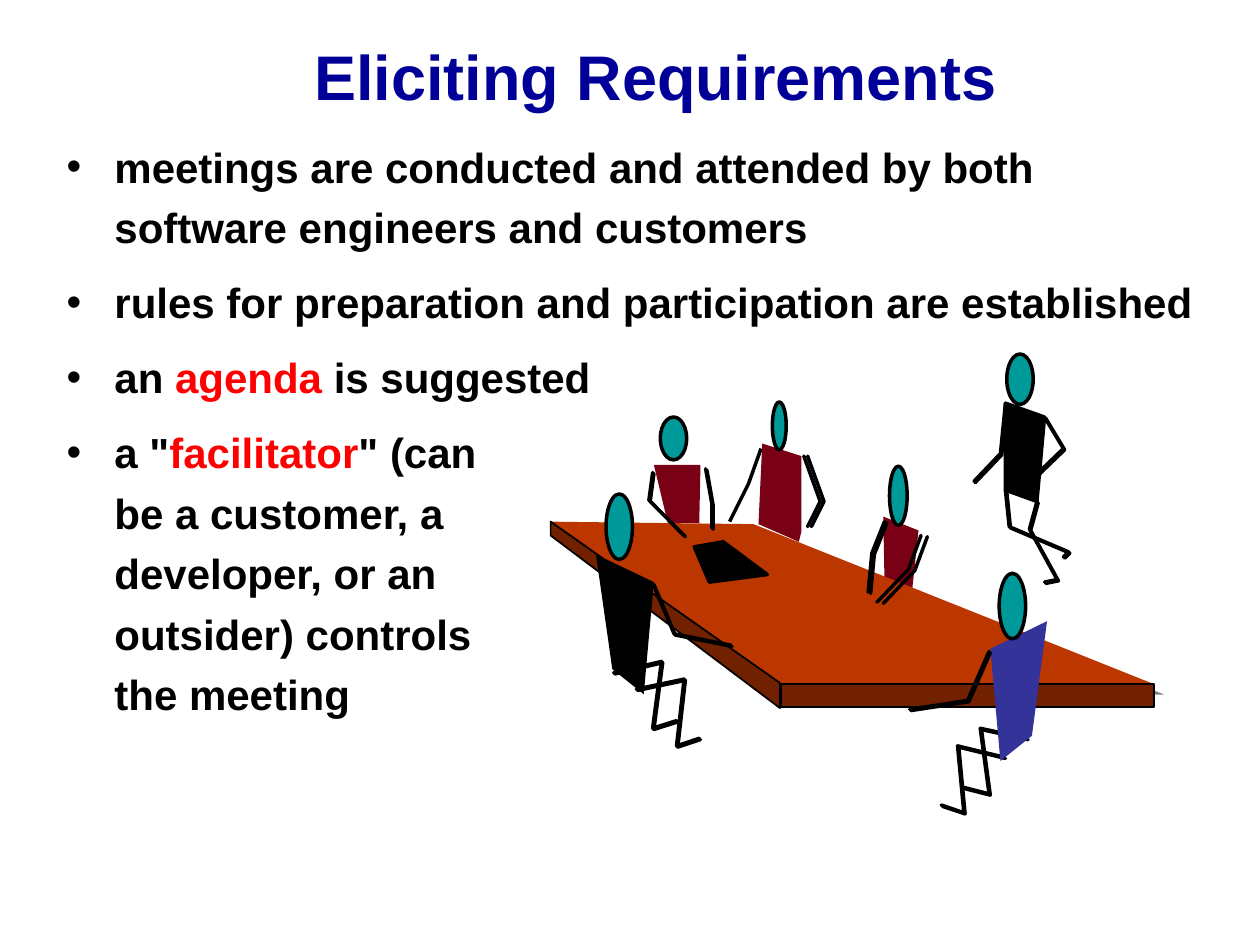
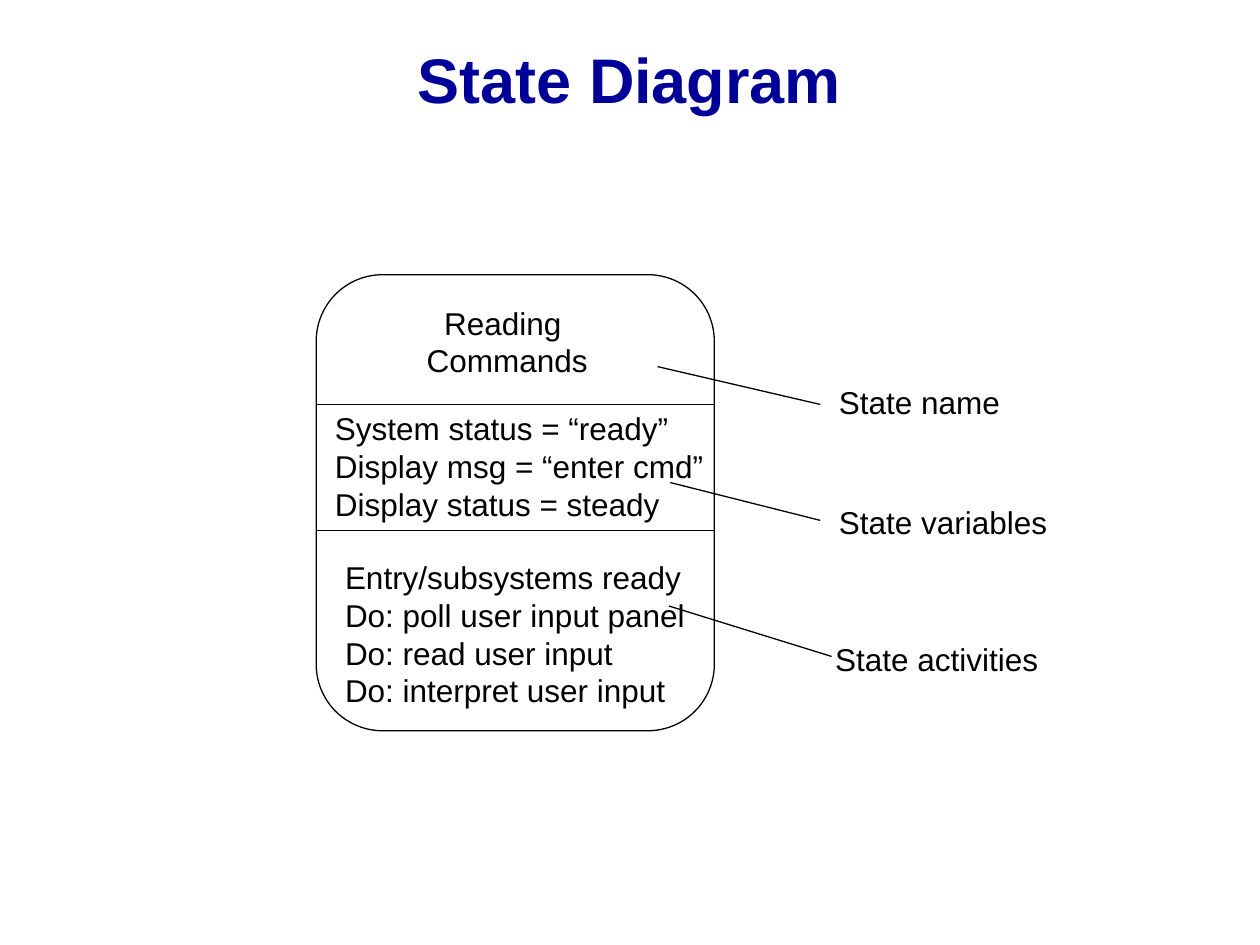
from lxml.etree import SubElement
from pptx import Presentation
from pptx.dml.color import RGBColor
from pptx.enum.shapes import MSO_CONNECTOR, MSO_SHAPE
from pptx.enum.text import MSO_ANCHOR, MSO_AUTO_SIZE, PP_ALIGN
from pptx.oxml.ns import qn
from pptx.util import Cm, Pt

FONT = "Arial"
NAVY = RGBColor(0x00, 0x00, 0x99)
BLACK = RGBColor(0x00, 0x00, 0x00)
WHITE = RGBColor(0xFF, 0xFF, 0xFF)
RED = RGBColor(0xFF, 0x00, 0x00)
TEAL = RGBColor(0x00, 0x99, 0x99)
MAROON = RGBColor(0x79, 0x00, 0x15)
INDIGO = RGBColor(0x33, 0x33, 0x99)
TABLE_TOP = RGBColor(0xBC, 0x37, 0x00)
TABLE_EDGE = RGBColor(0x71, 0x20, 0x00)

GRID = 2.54  # centimetres in one layout unit


def grid(value):
    return Cm(value * GRID)


class Deck:
    def __init__(self):
        self.prs = Presentation()
        self.prs.slide_width = grid(10)
        self.prs.slide_height = grid(7.5)
        self.s = None

    def new_slide(self, title, box):
        self.s = self.prs.slides.add_slide(self.prs.slide_layouts[6])
        tf = self.text_box(box)
        tf.vertical_anchor = MSO_ANCHOR.MIDDLE
        p = tf.paragraphs[0]
        p.alignment = PP_ALIGN.CENTER
        self.run(p, title, 36, NAVY, bold=True)

    def text_box(self, box):
        tf = self.s.shapes.add_textbox(*map(grid, box)).text_frame
        tf.word_wrap = True
        return tf

    def run(self, p, text, size, color=BLACK, bold=False):
        """Add text to a paragraph; a newline becomes a line break."""
        for i, line in enumerate(text.split("\n")):
            if i:
                p.add_line_break()
            r = p.add_run()
            r.text = line
            r.font.name = FONT
            r.font.size = Pt(size)
            r.font.bold = bold
            r.font.color.rgb = color

    def bullets(self, box, items):
        """Each item is a list of (text, color) runs."""
        tf = self.text_box(box)
        for i, item in enumerate(items):
            p = tf.add_paragraph() if i else tf.paragraphs[0]
            pPr = p._p.get_or_add_pPr()
            pPr.set("marL", str(grid(0.38)))
            pPr.set("indent", str(-grid(0.38)))
            SubElement(pPr, qn("a:buFont")).set("typeface", FONT)
            SubElement(pPr, qn("a:buChar")).set("char", "•")
            p.line_spacing = 1.2
            p.space_before = Pt(8.4 if i else 0)
            for text, color in item:
                self.run(p, text, 24, color, bold=True)

    def lines(self, box, texts, align=PP_ALIGN.LEFT):
        tf = self.text_box(box)
        tf.auto_size = MSO_AUTO_SIZE.SHAPE_TO_FIT_TEXT
        for i, text in enumerate(texts):
            p = tf.add_paragraph() if i else tf.paragraphs[0]
            p.alignment = align
            self.run(p, text, 18)

    def paint(self, sp, fill, width):
        sp.shadow.inherit = False
        if fill is None:
            sp.fill.background()
        else:
            sp.fill.solid()
            sp.fill.fore_color.rgb = fill
        if width:
            sp.line.color.rgb = BLACK
            sp.line.width = Pt(width)
        else:
            sp.line.fill.background()
        return sp

    def shape(self, kind, box, fill, width):
        sp = self.s.shapes.add_shape(kind, *map(grid, box))
        return self.paint(sp, fill, width)

    def outline(self, points, fill=None, width=0, close=True):
        first, *rest = [(grid(x), grid(y)) for x, y in points]
        builder = self.s.shapes.build_freeform(*first)
        builder.add_line_segments(rest, close=close)
        return self.paint(builder.convert_to_shape(), fill, width)

    def limb(self, points, shift=(-0.01, -0.01)):
        """Draw a stroke twice, the second slightly shifted."""
        for dx, dy in ((0, 0), shift):
            stroke = [(x + dx, y + dy) for x, y in points]
            sp = self.outline(stroke, width=2, close=False)
            sp._element.spPr.find(qn("a:ln")).set("cap", "rnd")

    def person(self, head, torso, color, legs=(), arms=(), torso_line=0):
        for leg in legs:
            self.limb(leg)
        self.outline(torso, color, torso_line)
        self.shape(MSO_SHAPE.OVAL, head, TEAL, 2)
        for arm in arms:
            self.limb(arm)

    def drop_shadow(self, sp):
        effects = sp._element.spPr.find(qn("a:effectLst"))
        shadow = SubElement(effects, qn("a:outerShdw"), dist=str(Pt(8.5)),
                            dir="2700000", algn="ctr", rotWithShape="0")
        SubElement(shadow, qn("a:srgbClr"), val="808080")

    def line(self, start, end):
        cn = self.s.shapes.add_connector(
            MSO_CONNECTOR.STRAIGHT, *map(grid, start + end))
        cn.line.color.rgb = BLACK
        cn.line.width = Pt(0.75)
        SubElement(cn._element.spPr, qn("a:effectLst"))


def draw_table(deck):
    top = deck.outline([(4.37, 4.14), (5.98, 4.16), (9.16, 5.43),
                        (6.18, 5.42)], TABLE_TOP)
    deck.drop_shadow(top)
    deck.shape(MSO_SHAPE.RECTANGLE, (6.2, 5.43, 2.96, 0.18), TABLE_EDGE, 1)
    deck.outline([(6.19, 5.42), (4.37, 4.14), (4.37, 4.25), (6.19, 5.62)],
                 TABLE_EDGE, 1)


def draw_meeting(deck):
    # Far right attendee sits behind the table, with arms resting on it
    deck.person((7.06, 3.7, 0.14, 0.47),
                [(7.02, 4.6), (7.01, 4.1), (7.29, 4.21), (7.24, 4.68)], MAROON)
    draw_table(deck)
    deck.limb([(7.36, 4.26), (7.26, 4.53), (7.01, 4.79)], (-0.05, -0.01))
    deck.limb([(7.04, 4.15), (6.94, 4.4), (6.91, 4.71)], (-0.02, -0.01))

    # Near left attendee
    deck.person((4.81, 3.92, 0.21, 0.52),
                [(4.86, 5.31), (4.73, 4.4), (5.19, 4.62), (5.11, 5.51)], BLACK,
                legs=[[(4.88, 5.35), (5.26, 5.26), (5.19, 5.79), (5.38, 5.73)],
                      [(5.06, 5.48), (5.44, 5.4), (5.38, 5.93), (5.56, 5.87)]],
                arms=[[(5.19, 4.64), (5.36, 5.04), (5.81, 5.13)]])
    # Near right attendee
    deck.person((7.93, 4.55, 0.21, 0.52),
                [(8.19, 5.84), (8.31, 4.93), (7.86, 5.15), (7.94, 6.04)], INDIGO,
                legs=[[(8.16, 5.87), (7.79, 5.79), (7.86, 6.31), (7.66, 6.26)],
                      [(7.98, 6.02), (7.61, 5.93), (7.66, 6.46), (7.48, 6.4)]],
                arms=[[(7.86, 5.18), (7.69, 5.57), (7.23, 5.64)]])
    # Far left attendee
    deck.person((5.24, 3.31, 0.21, 0.34),
                [(5.3, 4.15), (5.19, 3.69), (5.56, 3.69), (5.55, 4.15)], MAROON,
                arms=[[(5.19, 3.76), (5.16, 3.98), (5.44, 4.26)],
                      [(5.61, 3.73), (5.66, 4.01), (5.66, 4.2)]])
    # Far middle attendee
    deck.person((6.13, 3.19, 0.11, 0.38),
                [(6.05, 3.52), (6.36, 3.62), (6.36, 4.22), (6.34, 4.3),
                 (6.02, 4.16)], MAROON)
    deck.limb([(6.41, 3.62), (6.54, 3.98), (6.44, 4.18)], (-0.03, 0))
    deck.outline([(6.04, 3.56), (5.94, 3.84), (5.79, 4.14)], width=2, close=False)
    # Walking facilitator
    deck.person((7.99, 2.81, 0.21, 0.4),
                [(7.98, 3.2), (8.29, 3.31), (8.23, 3.98), (7.98, 3.89)], BLACK,
                legs=[[(8.24, 3.99), (8.18, 4.21), (8.4, 4.61), (8.3, 4.63)],
                      [(7.99, 3.9), (8.02, 4.19), (8.49, 4.39), (8.45, 4.43)]],
                arms=[[(8.3, 3.32), (8.45, 3.57), (8.18, 3.83)],
                      [(7.99, 3.21), (7.95, 3.61), (7.74, 3.83)]],
                torso_line=2)
    # Agenda on the table
    deck.outline([(5.74, 4.3), (6.09, 4.56), (5.63, 4.62), (5.51, 4.34)],
                 BLACK, 2)


def add_requirements_slide(deck):
    deck.new_slide("Eliciting Requirements", (1.82, 0.13, 6.77, 0.93))
    deck.bullets((0.43, 0.99, 9.21, 5.59), [
        [("meetings are conducted and attended by both software engineers "
          "and customers", BLACK)],
        [("rules for preparation and participation are established", BLACK)],
        [("an ", BLACK), ("agenda", RED), (" is suggested", BLACK)],
        [('a "', BLACK), ("facilitator", RED),
         ('" (can \nbe a customer, a \ndeveloper, or an\noutsider) controls \n'
          "the meeting", BLACK)],
    ])
    draw_meeting(deck)


def add_state_slide(deck):
    deck.new_slide("State Diagram", (2.62, 0, 4.75, 1.25))
    left, right = 2.51, 5.67
    state = deck.shape(MSO_SHAPE.ROUNDED_RECTANGLE,
                       (left, 2.18, right - left, 3.62), WHITE, 0.75)
    state.adjustments[0] = 0.167
    for y in (3.21, 4.21):
        deck.line((left, y), (right, y))

    deck.lines((2.92, 2.36, 2.21, 0.71), ["Reading ", "Commands"],
               PP_ALIGN.CENTER)
    deck.lines((2.56, 3.2, 4.27, 1.01),
               ["System status = “ready”", "Display msg = “enter cmd”",
                "Display status = steady"])
    deck.lines((2.64, 4.38, 4.27, 1.31),
               ["Entry/subsystems ready", "Do: poll user input panel",
                "Do: read user input", "Do: interpret user input"])

    callouts = [
        ("State name", (6.56, 2.99, 1.98, 0.4), (6.51, 3.21), (5.22, 2.91)),
        ("State variables", (6.56, 3.94, 2.46, 0.4), (6.51, 4.13), (5.32, 3.83)),
        ("State activities", (6.53, 5.03, 2.41, 0.4), (6.6, 5.21), (5.31, 4.81)),
    ]
    for label, box, start, end in callouts:
        deck.lines(box, [label])
        deck.line(start, end)


def main():
    deck = Deck()
    add_requirements_slide(deck)
    add_state_slide(deck)
    deck.prs.save("out.pptx")


if __name__ == "__main__":
    main()
